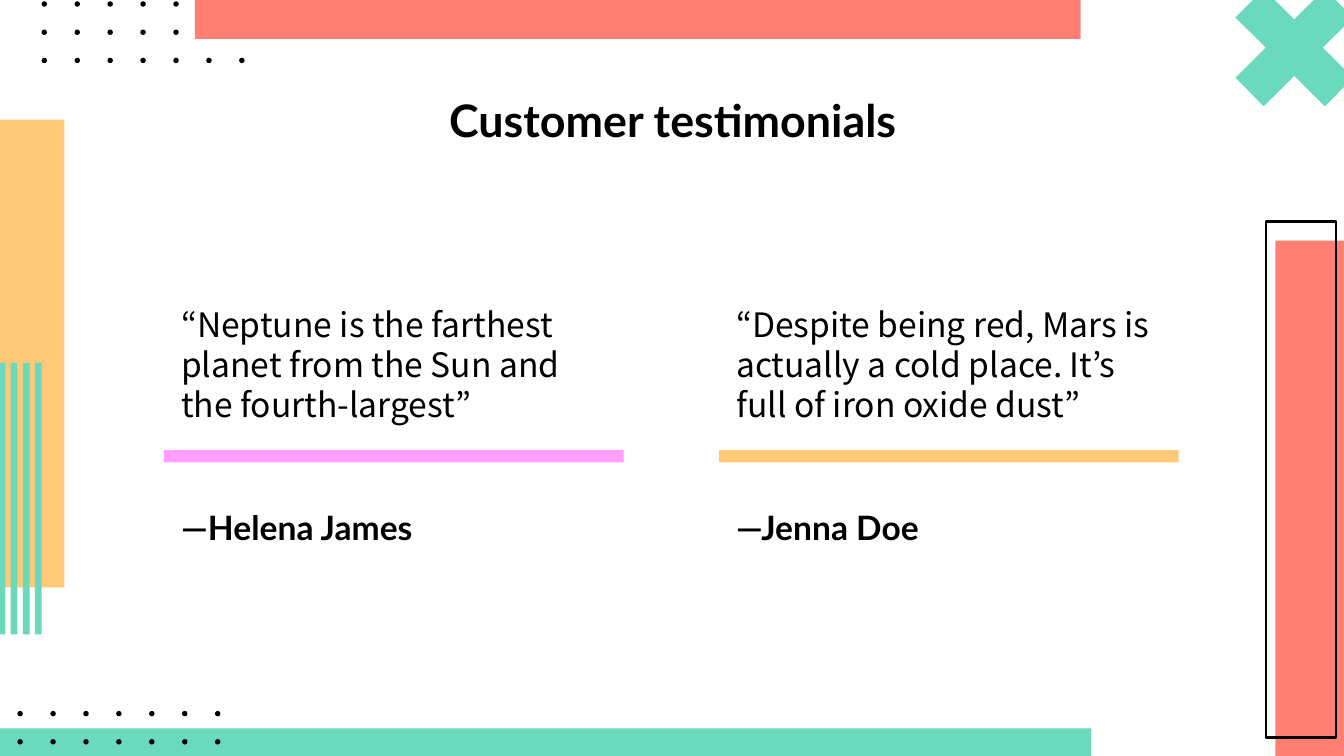
"""Build a slide with two customer testimonials among geometric decorations."""
from pptx import Presentation
from pptx.dml.color import RGBColor
from pptx.enum import shapes, text
from pptx.util import Inches, Pt

COLORS = {"black": "000000", "coral": "FF8073", "mint": "6BD9BC",
          "yellow": "FECA77", "pink": "FF9FFF"}

TITLE = "Customer testimonials"
TESTIMONIALS = [
    ("“Neptune is the farthest planet from the Sun and the fourth-largest”", "—Helena James", "pink"),
    ("“Despite being red, Mars is actually a cold place. It’s full of iron oxide dust”", "—Jenna Doe", "yellow"),
]
SIDE_BLOCKS = [
    (0, 0.89, 0.48, 3.48, "yellow"),
    (9.49, 1.79, 0.52, 3.84, "coral"),
]
FRAME = (9.42, 1.65, 0.52, 3.84)
CROSS = (8.99, -0.28, 1.28, 1.27)
BOTTOM_BAND = (0, 5.42, 8.12, 0.21)
TOP_BAND = (1.45, 0, 6.59, 0.29)
STRIPE_COUNT, STRIPE_LEFT, STRIPE_STEP = 4, -0.01, 0.09
DOT_SIZE, DOT_STEP, ROW_STEP = 0.04, 0.245, 0.21
DOT_GRIDS = [
    (0.33, 0.03, [5, 5, 7]),
    (0.15, 5.31, [7, 7]),
]
COLUMN_LEFT, COLUMN_STEP, COLUMN_WIDTH = 1.25, 4.13, 3.37

HEADING = {"name": "Lato", "size": Pt(24), "bold": True}
NAME = {"name": "Lato", "size": Pt(18), "bold": True}
QUOTE = {"name": "Noto Sans CJK KR", "size": Pt(18), "bold": False}


def color(name):
    return RGBColor.from_string(COLORS[name])


def add_shape(slide, box, fill=None, kind=shapes.MSO_SHAPE.RECTANGLE):
    shape = slide.shapes.add_shape(kind, *map(Inches, box))
    shape.shadow.inherit = False
    if fill:
        shape.fill.solid()
        shape.fill.fore_color.rgb = color(fill)
        shape.line.fill.background()
    else:
        shape.fill.background()
        shape.line.color.rgb = color("black")
        shape.line.width = Pt(1.5)
    return shape


def add_text(slide, box, content, font, align=text.PP_ALIGN.LEFT):
    frame = slide.shapes.add_textbox(*map(Inches, box)).text_frame
    margins = dict.fromkeys(
        ("margin_left", "margin_top", "margin_right", "margin_bottom"), Inches(0.1))
    settings = {"word_wrap": True, "vertical_anchor": text.MSO_ANCHOR.TOP, **margins}
    for key, value in settings.items():
        setattr(frame, key, value)
    paragraph = frame.paragraphs[0]
    paragraph.alignment = align
    run = paragraph.add_run()
    run.text = content
    for key, value in font.items():
        setattr(run.font, key, value)
    run.font.color.rgb = color("black")


def add_decorations(slide):
    for *box, fill in SIDE_BLOCKS:
        add_shape(slide, box, fill)
    add_shape(slide, FRAME)
    cross = add_shape(slide, CROSS, "mint", shapes.MSO_SHAPE.MATH_MULTIPLY)
    cross.adjustments[0] = 0.235
    add_shape(slide, BOTTOM_BAND, "mint")
    for index in range(STRIPE_COUNT):
        add_shape(slide, (STRIPE_LEFT + index * STRIPE_STEP, 2.7, 0.05, 2.02), "mint")
    for left, top, counts in DOT_GRIDS:
        for row, count in enumerate(counts):
            for column in range(count):
                box = (left + column * DOT_STEP - DOT_SIZE / 2,
                       top + row * ROW_STEP - DOT_SIZE / 2, DOT_SIZE, DOT_SIZE)
                add_shape(slide, box, "black", shapes.MSO_SHAPE.OVAL)
    add_shape(slide, TOP_BAND, "coral")


def main():
    presentation = Presentation()
    presentation.slide_width = Inches(10)
    presentation.slide_height = Inches(10) * 9 // 16
    slide = presentation.slides.add_slide(presentation.slide_layouts[6])
    add_decorations(slide)
    add_text(slide, (0.79, 0.59, 8.43, 0.52), TITLE, HEADING, text.PP_ALIGN.CENTER)
    for index, (quote, name, fill) in enumerate(TESTIMONIALS):
        left = COLUMN_LEFT + index * COLUMN_STEP
        add_text(slide, (left, 2.16, COLUMN_WIDTH, 1.06), quote, QUOTE)
        add_shape(slide, (left - 0.03, 3.35, 3.42, 0.09), fill)
        add_text(slide, (left, 3.67, COLUMN_WIDTH, 0.31), name, NAME)
    presentation.save("out.pptx")


if __name__ == "__main__":
    main()
